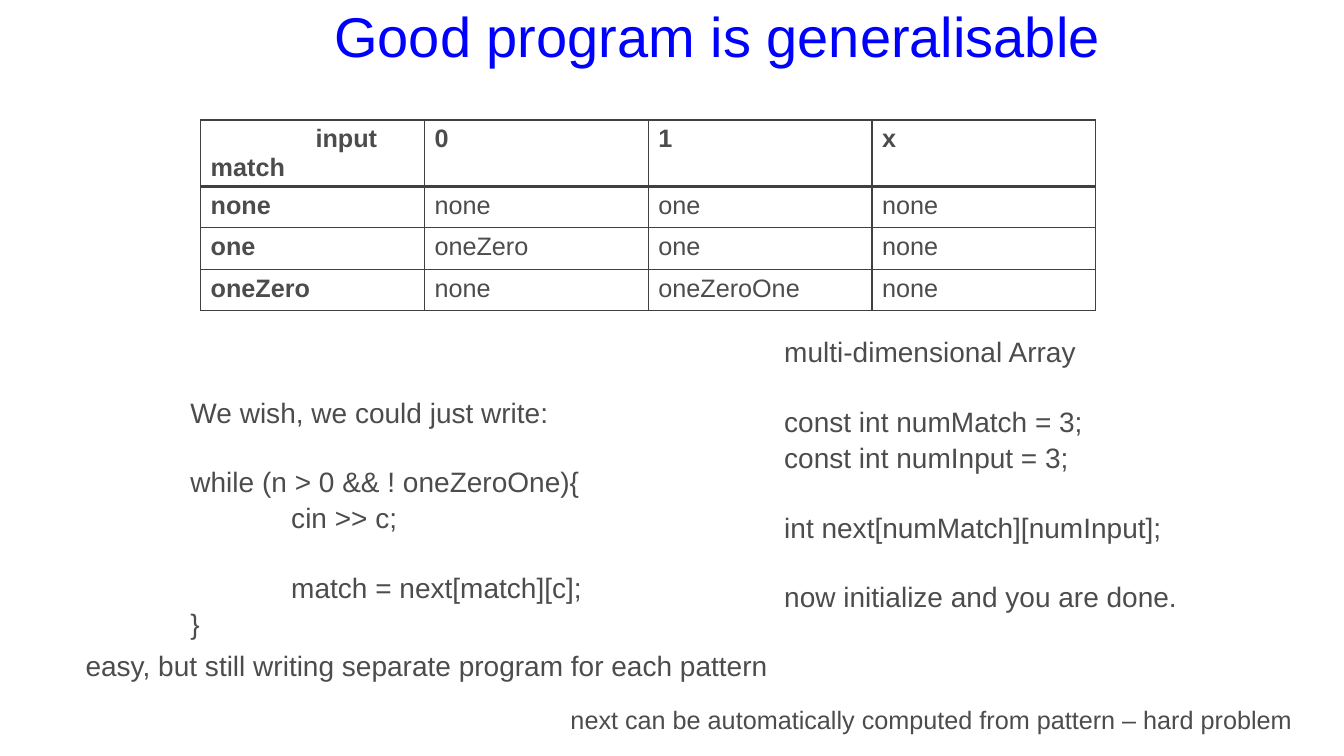
from pptx import Presentation
from pptx.dml.color import RGBColor
from pptx.enum.text import MSO_ANCHOR as Anchor, MSO_AUTO_SIZE as AutoSize, PP_ALIGN as Align
from pptx.oxml import parse_xml
from pptx.oxml.ns import nsdecls
from pptx.util import Emu, Pt

TABLE_ROWS = [
    ["\tinput\nmatch", "0", "1", "x"],
    ["none", "none", "one", "none"],
    ["one", "oneZero", "one", "none"],
    ["oneZero", "none", "oneZeroOne", "none"],
]
LOOP_CODE = [
    "We wish, we could just write:",
    "",
    "while (n > 0 && ! oneZeroOne){",
    "\tcin >> c;",
    "",
    "\tmatch = next[match][c];",
    "}",
]
ARRAY_CODE = [
    "multi-dimensional Array",
    "",
    "const int numMatch = 3;",
    "const int numInput = 3;",
    "",
    "int next[numMatch][numInput];",
    "",
    "now initialize and you are done.",
]


def px(length):
    return Emu(length * 9144)


def color(value):
    return RGBColor.from_string(value)


class SlideBuilder:
    """Holds the style and the current slide, and adds elements to it."""

    font = "Arial"
    text_color = "4C4C4C"
    title_color = "0000FF"
    border_color = "404040"
    line_spacing = 1.07

    def __init__(self, presentation):
        self.slide = presentation.slides.add_slide(presentation.slide_layouts[5])

    def format_runs(self, paragraph, size, value, bold=False):
        for run in paragraph.runs:
            run.font.name = self.font
            run.font.size = Pt(size)
            run.font.bold = bold
            run.font.color.rgb = color(value)

    def fill_lines(self, frame, lines, size, bold=False, indent=100):
        paragraph = frame.paragraphs[0]
        gap = False
        for line in lines:
            if not line:
                gap = True
                continue
            if paragraph.text:
                paragraph = frame.add_paragraph()
            paragraph.text = line.lstrip("\t")
            if line.startswith("\t"):
                paragraph._p.get_or_add_pPr().set("marL", str(px(indent)))
            if gap:
                paragraph.space_before = Pt(size * 1.2)
            gap = False
            self.format_runs(paragraph, size, self.text_color, bold)

    def title(self, text, left, top, width, height):
        shape = self.slide.shapes.title
        shape.left, shape.top, shape.width, shape.height = map(px, (left, top, width, height))
        frame = shape.text_frame
        frame.text = text
        frame.auto_size = AutoSize.NONE
        frame.vertical_anchor = Anchor.MIDDLE
        frame.paragraphs[0].alignment = Align.CENTER
        self.format_runs(frame.paragraphs[0], 40, self.title_color)

    def text(self, lines, left, top, width, height, size=20):
        box = self.slide.shapes.add_textbox(*map(px, (left, top, width, height)))
        frame = box.text_frame
        frame.word_wrap = False
        frame.auto_size = AutoSize.SHAPE_TO_FIT_TEXT
        self.fill_lines(frame, lines, size)
        for paragraph in frame.paragraphs:
            paragraph.line_spacing = self.line_spacing

    def border(self, cell, sides):
        properties = cell._tc.get_or_add_tcPr()
        for position, (side, width) in enumerate(sides.items()):
            properties.insert(position, parse_xml(
                f'<a:ln{side} {nsdecls("a")} w="{Pt(width)}"><a:solidFill>'
                f'<a:srgbClr val="{self.border_color}"/></a:solidFill></a:ln{side}>'))

    def table(self, rows, left, top, column_width, row_heights):
        columns = len(rows[0])
        frame = self.slide.shapes.add_table(
            len(rows), columns, px(left), px(top),
            px(column_width * columns), px(sum(row_heights)))
        table = frame.table
        table.first_row = table.horz_banding = False
        for column in table.columns:
            column.width = px(column_width)
        for row_index, (texts, height) in enumerate(zip(rows, row_heights)):
            table.rows[row_index].height = px(height)
            for column_index, text in enumerate(texts):
                cell = table.cell(row_index, column_index)
                cell.fill.background()
                heading = row_index == 0 or column_index == 0
                self.fill_lines(cell.text_frame, text.split("\n"), 18, heading, indent=104)
                self.border(cell, {
                    "L": 1, "R": 1,
                    "T": 2 if row_index == 1 else 1,
                    "B": 2 if row_index == 0 else 1,
                })


def main():
    presentation = Presentation()
    presentation.slide_width, presentation.slide_height = px(1333), px(750)
    builder = SlideBuilder(presentation)
    builder.title("Good program is generalisable", 122, 0, 1178, 69)
    builder.table(TABLE_ROWS, 199, 119, 222, [66, 41, 41, 41])
    builder.text(LOOP_CODE, 179, 385, 411, 279)
    builder.text(ARRAY_CODE, 768, 325, 413, 279)
    builder.text(["easy, but still writing separate program for each pattern"], 75, 636, 701, 44)
    builder.text(["next can be automatically computed from pattern – hard problem"],
                 556, 692, 742, 40, size=18)
    presentation.save("out.pptx")


if __name__ == "__main__":
    main()
